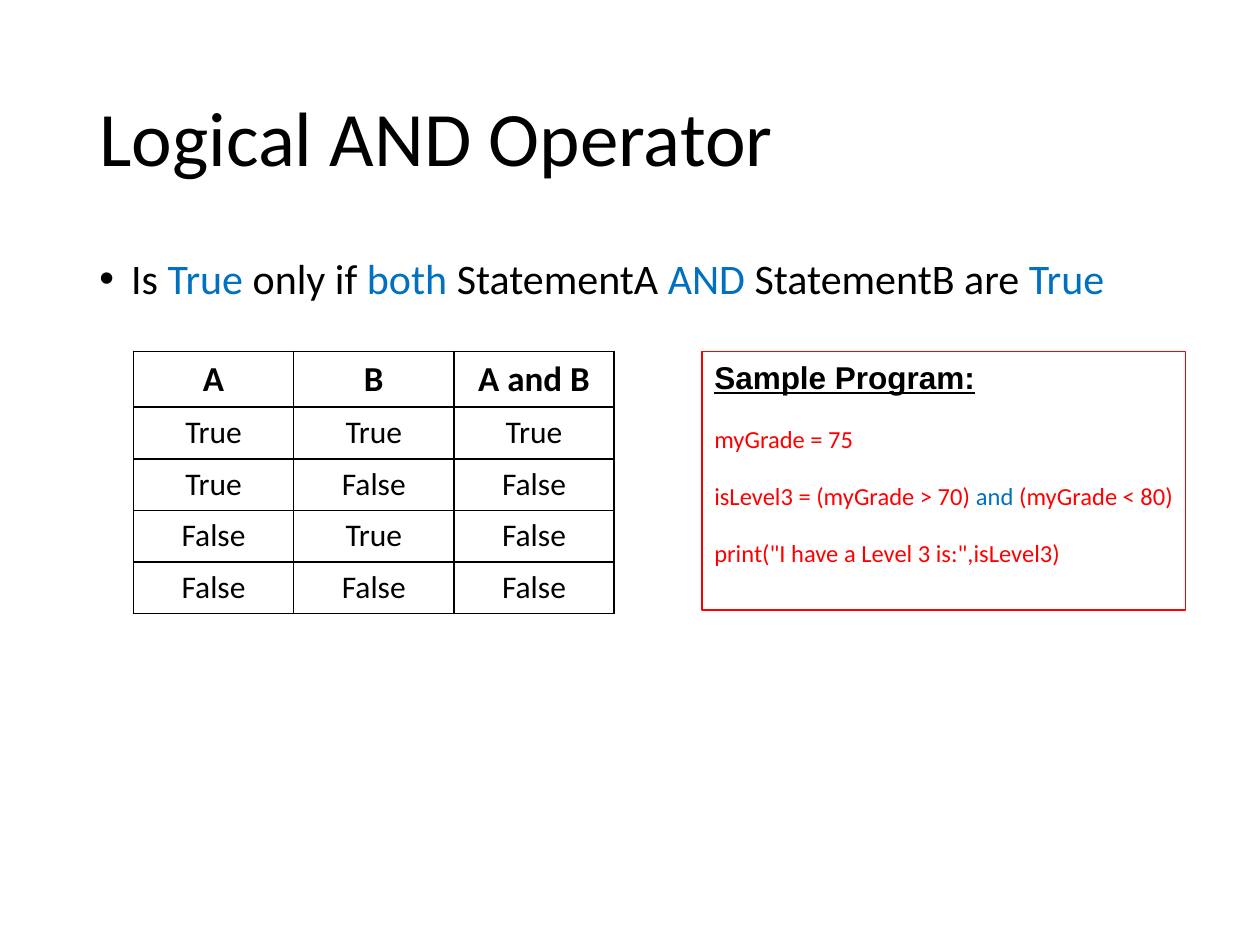
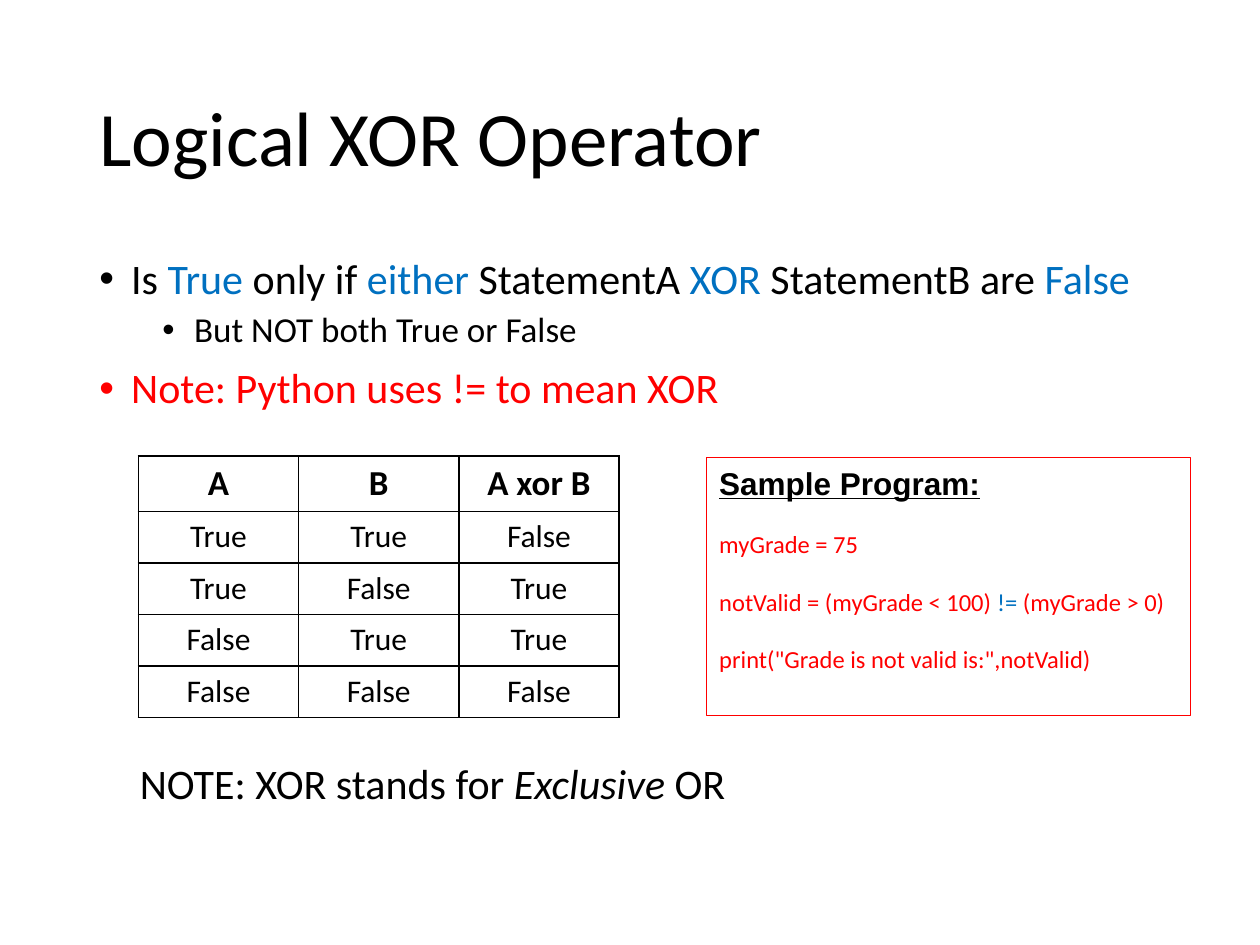
from dataclasses import dataclass
from itertools import product
from typing import Callable, Optional

from lxml.etree import SubElement
from pptx import Presentation
from pptx.dml.color import RGBColor
from pptx.enum.shapes import MSO_SHAPE
from pptx.enum.text import MSO_ANCHOR, MSO_AUTO_SIZE, PP_ALIGN
from pptx.oxml.ns import qn
from pptx.util import Cm, Pt

BLACK, BLUE, RED = "000000", "0070C0", "FF0000"
BODY_FONT, HEADING_FONT = "Calibri", "Arial"
COLUMN_WIDTH, ROW_HEIGHT = Cm(3.23), Cm(1.04)


@dataclass
class Span:
    text: str
    color: str = BLACK
    italic: bool = False


@dataclass
class Bullet:
    spans: list[Span]
    level: int = 0


@dataclass
class OperatorSlide:
    name: str
    bullets: list[Bullet]
    result: Callable[[bool, bool], bool]
    code: list[list[Span]]
    table_at: tuple[float, float]
    program_at: tuple[float, float]
    note: Optional[list[Span]] = None


SLIDES = [
    OperatorSlide(
        name="AND",
        bullets=[
            Bullet([Span("Is "), Span("True", BLUE), Span(" only if "), Span("both ", BLUE),
                    Span("StatementA "), Span("AND ", BLUE), Span("StatementB are "),
                    Span("True", BLUE)]),
        ],
        result=lambda a, b: a and b,
        code=[
            [Span("myGrade = 75", RED)],
            [Span("isLevel3 = (myGrade > 70) ", RED), Span("and", BLUE),
             Span(" (myGrade < 80)", RED)],
            [Span('print("I have a Level 3 is:",isLevel3)', RED)],
        ],
        table_at=(2.69, 7.09),
        program_at=(14.15, 7.09),
    ),
    OperatorSlide(
        name="XOR",
        bullets=[
            Bullet([Span("Is "), Span("True", BLUE), Span(" only if "), Span("either ", BLUE),
                    Span("StatementA "), Span("XOR ", BLUE), Span("StatementB are "),
                    Span("False", BLUE)]),
            Bullet([Span("But NOT both True or False")], level=1),
            Bullet([Span("Note: Python uses != to mean XOR", RED)]),
        ],
        result=lambda a, b: a != b,
        code=[
            [Span("myGrade = 75", RED)],
            [Span("notValid = (myGrade < 100) ", RED), Span("!= ", BLUE),
             Span("(myGrade > 0)", RED)],
            [Span('print("Grade is not valid is:",notValid)', RED)],
        ],
        table_at=(2.79, 9.19),
        program_at=(14.25, 9.22),
        note=[Span("NOTE: XOR stands for "), Span("Exclusive", italic=True), Span(" OR")],
    ),
]


def rgb(color: str) -> RGBColor:
    return RGBColor.from_string(color)


def add_text(para, text: str, *, size: float, color: str = BLACK, font: str = BODY_FONT,
             bold: bool = False, italic: bool = False, underline: bool = False) -> None:
    run = para.add_run()
    run.text = text
    run.font.name, run.font.size = font, Pt(size)
    run.font.bold, run.font.italic, run.font.underline = bold, italic, underline
    run.font.color.rgb = rgb(color)


def add_spans(para, spans: list[Span], size: float) -> None:
    for span in spans:
        add_text(para, span.text, size=size, color=span.color, italic=span.italic)


def place(shape, left: float, top: float, width: float, height: float) -> None:
    shape.left, shape.top, shape.width, shape.height = map(Cm, (left, top, width, height))


def set_bullet(para, level: int) -> None:
    para.level = level
    properties = para._p.get_or_add_pPr()
    properties.set("marL", str(Cm(0.64 + 1.27 * level)))
    properties.set("indent", str(-Cm(0.64)))
    SubElement(properties, qn("a:buFont"), typeface="Arial")
    SubElement(properties, qn("a:buChar"), char="•")


def draw_title(page, text: str) -> None:
    title = page.shapes.title
    place(title, 1.75, 1.02, 21.9, 3.68)
    frame = title.text_frame
    frame.auto_size, frame.vertical_anchor = MSO_AUTO_SIZE.NONE, MSO_ANCHOR.MIDDLE
    para = frame.paragraphs[0]
    para.alignment, para.line_spacing = PP_ALIGN.LEFT, 0.9
    add_text(para, text, size=44)


def draw_bullets(page, bullets: list[Bullet]) -> None:
    body = page.placeholders[1]
    place(body, 1.75, 5.08, 21.9, 12.09)
    frame = body.text_frame
    frame.auto_size = MSO_AUTO_SIZE.NONE
    for index, bullet in enumerate(bullets):
        para = frame.add_paragraph() if index else frame.paragraphs[0]
        set_bullet(para, bullet.level)
        para.line_spacing = 0.9
        para.space_before = Pt((5 if bullet.level else 10) if index else 0)
        add_spans(para, bullet.spans, size=20 if bullet.level else 24)


def set_borders(cell, color: str, width: float) -> None:
    properties = cell._tc.get_or_add_tcPr()
    for side in ("lnL", "lnR", "lnT", "lnB"):
        line = SubElement(properties, qn(f"a:{side}"), w=str(Pt(width)))
        fill = SubElement(line, qn("a:solidFill"))
        SubElement(fill, qn("a:srgbClr"), val=color)


def draw_truth_table(page, content: OperatorSlide) -> None:
    rows = [("A", "B", f"A {content.name.lower()} B")]
    rows += [(a, b, content.result(a, b)) for a, b in product((True, False), repeat=2)]
    left, top = map(Cm, content.table_at)
    table = page.shapes.add_table(len(rows), 3, left, top,
                                  3 * COLUMN_WIDTH, len(rows) * ROW_HEIGHT).table
    table.horz_banding = False
    for column in table.columns:
        column.width = COLUMN_WIDTH
    for row_index, values in enumerate(rows):
        header = row_index == 0
        table.rows[row_index].height = ROW_HEIGHT
        for column_index, value in enumerate(values):
            cell = table.cell(row_index, column_index)
            set_borders(cell, BLACK, 1)
            cell.fill.background()
            para = cell.text_frame.paragraphs[0]
            para.alignment = PP_ALIGN.CENTER
            add_text(para, str(value), size=20 if header else 18, bold=header)


def draw_program(page, content: OperatorSlide) -> None:
    left, top = map(Cm, content.program_at)
    box = page.shapes.add_shape(MSO_SHAPE.RECTANGLE, left, top, Cm(9.75), Cm(5.21))
    box.shadow.inherit = False
    box.fill.background()
    box.line.color.rgb, box.line.width = rgb(RED), Pt(0.75)
    frame = box.text_frame
    frame.word_wrap, frame.vertical_anchor = True, MSO_ANCHOR.TOP
    frame.margin_right = Cm(0.1)
    heading = frame.paragraphs[0]
    heading.alignment = PP_ALIGN.LEFT
    add_text(heading, "Sample Program:", size=18, font=HEADING_FONT, bold=True, underline=True)
    for spans in content.code:
        para = frame.add_paragraph()
        para.alignment, para.space_before = PP_ALIGN.LEFT, Pt(16)
        add_spans(para, spans, size=14)


def draw_note(page, spans: list[Span]) -> None:
    box = page.shapes.add_textbox(Cm(2.57), Cm(15.14), Cm(12.45), Cm(1.27))
    box.text_frame.word_wrap = True
    add_spans(box.text_frame.paragraphs[0], spans, size=24)


def main() -> None:
    deck = Presentation()
    deck.slide_width, deck.slide_height = Cm(25.4), Cm(19.05)
    for content in SLIDES:
        page = deck.slides.add_slide(deck.slide_layouts[1])
        draw_title(page, f"Logical {content.name} Operator")
        draw_bullets(page, content.bullets)
        draw_truth_table(page, content)
        draw_program(page, content)
        if content.note:
            draw_note(page, content.note)
    deck.save("out.pptx")


if __name__ == "__main__":
    main()
